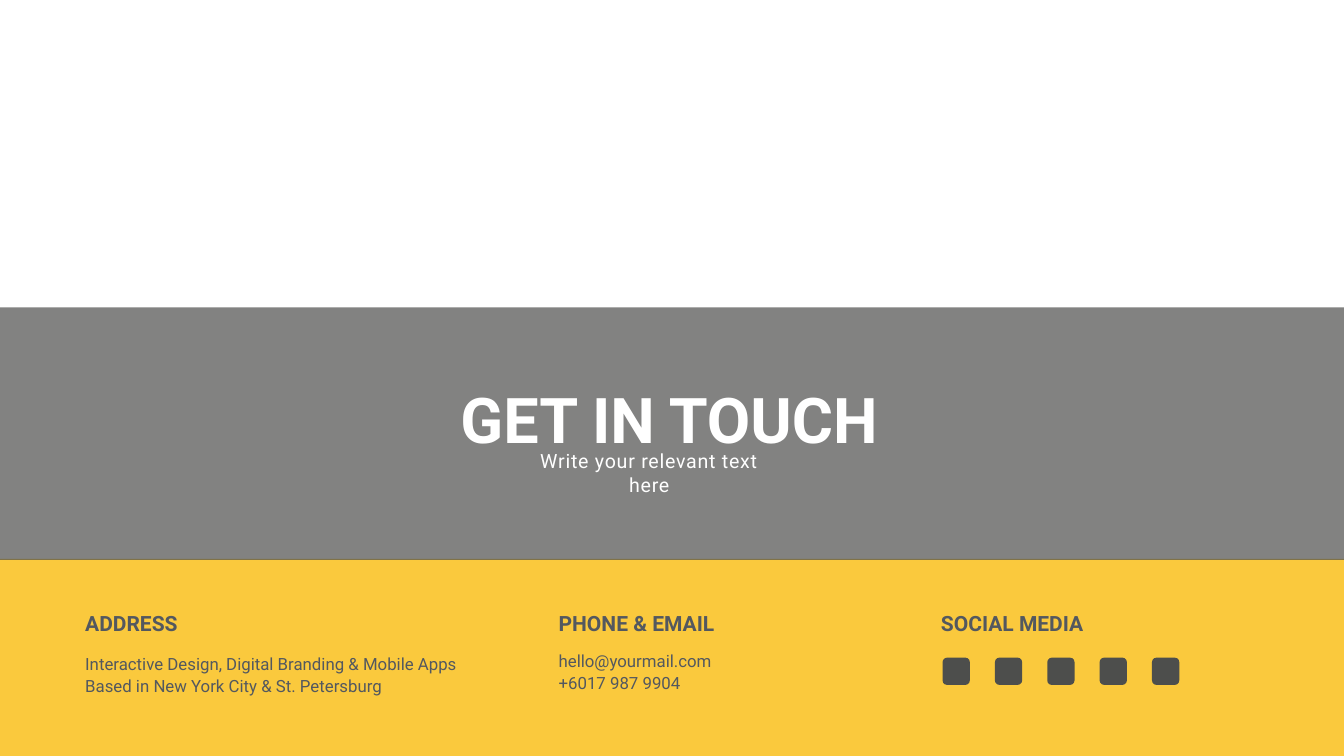
from lxml import etree
from pptx import Presentation
from pptx.dml.color import RGBColor
from pptx.enum.shapes import MSO_SHAPE
from pptx.enum.text import MSO_ANCHOR, MSO_AUTO_SIZE, PP_ALIGN
from pptx.oxml.ns import qn
from pptx.util import Pt

RECTANGLE, ROUNDED = MSO_SHAPE.RECTANGLE, MSO_SHAPE.ROUNDED_RECTANGLE
LEFT, CENTER = PP_ALIGN.LEFT, PP_ALIGN.CENTER
TOP, MIDDLE = MSO_ANCHOR.TOP, MSO_ANCHOR.MIDDLE
TITLE_ONLY = 5

WIDTH, HEIGHT = 1920, 1080
FONT = "Roboto"
COLORS = {"yellow": "FAC93D", "gray": "4D4E4C", "slate": "53585F", "white": "FFFFFF"}

TITLE = "GET IN TOUCH"
SUBTITLE = "Write your relevant text here"
# heading, left, heading width, details, details top, details width
COLUMNS = [
    ("ADDRESS", 121.7, 142.5,
     ["Interactive Design, Digital Branding & Mobile Apps",
      "Based in New York City & St. Petersburg"], 931, 538.5),
    ("PHONE & EMAIL", 798, 231,
     ["hello@yourmail.com", "+6017 987 9904"], 926.5, 231),
    ("SOCIAL MEDIA", 1344.2, 210, [], 0, 0),
]
HEADING_TOP, HEADING_HEIGHT, DETAILS_HEIGHT = 866, 47, 75
ICON_COUNT, ICON_SIZE, ICON_PITCH, ICON_TOP = 5, 39, 74.8, 939.5
ICON_LEFT = 1346.5


def color(name):
    return RGBColor.from_string(COLORS[name])


def add_block(page, shape_type, left, top, width, height, fill):
    block = page.shapes.add_shape(shape_type, Pt(left), Pt(top), Pt(width), Pt(height))
    block.shadow.inherit = False
    block.fill.solid()
    block.fill.fore_color.rgb = color(fill)
    block.line.fill.background()
    return block


def set_alpha(block, percent):
    for tint in block.element.spPr.iter(qn("a:srgbClr")):
        etree.SubElement(tint, qn("a:alpha")).set("val", str(percent * 1000))


def write(box, place, lines, size, ink, bold=False, align=LEFT, anchor=TOP,
          spacing=1.0, wrap=False):
    box.left, box.top, box.width, box.height = (Pt(value) for value in place)
    frame = box.text_frame
    frame.text = "\n".join(lines)
    frame.word_wrap = wrap
    frame.auto_size = MSO_AUTO_SIZE.NONE
    frame.vertical_anchor = anchor
    frame.margin_left = frame.margin_right = frame.margin_top = frame.margin_bottom = 0
    for para in frame.paragraphs:
        para.alignment = align
        para.line_spacing = spacing
        for span in para.runs:
            span.font.name = FONT
            span.font.size = Pt(size)
            span.font.bold = bold
            span.font.color.rgb = color(ink)


def add_text(page, place, lines, size, ink, **style):
    box = page.shapes.add_textbox(0, 0, 0, 0)
    write(box, place, lines, size, ink, **style)
    return box


def main():
    deck = Presentation()
    deck.slide_width, deck.slide_height = Pt(WIDTH), Pt(HEIGHT)
    page = deck.slides.add_slide(deck.slide_layouts[TITLE_ONLY])

    add_block(page, RECTANGLE, -2, 798.5, WIDTH + 4, 285, "yellow")
    band = add_block(page, RECTANGLE, -2, 439, WIDTH + 4, 361, "gray")
    set_alpha(band, 70)

    title = page.shapes.title
    title.element.getparent().append(title.element)  # in front of the bands
    write(title, (646, 534, 620, 126), [TITLE], 90, "white",
          bold=True, align=CENTER, anchor=MIDDLE, wrap=True)
    subtitle = add_text(page, (767.5, 641.5, 320, 70), [SUBTITLE], 28, "white",
                        align=CENTER, wrap=True)
    for properties in subtitle.element.iter(qn("a:rPr")):
        properties.set("spc", "110")

    for heading, left, width, details, details_top, details_width in COLUMNS:
        add_text(page, (left, HEADING_TOP, width, HEADING_HEIGHT), [heading], 30,
                 "slate", bold=True, anchor=MIDDLE)
        if details:
            add_text(page, (left, details_top, details_width, DETAILS_HEIGHT), details,
                     24, "slate", spacing=1.1)

    for index in range(ICON_COUNT):
        add_block(page, ROUNDED, ICON_LEFT + index * ICON_PITCH, ICON_TOP,
                  ICON_SIZE, ICON_SIZE, "gray")

    deck.save("out.pptx")


if __name__ == "__main__":
    main()
